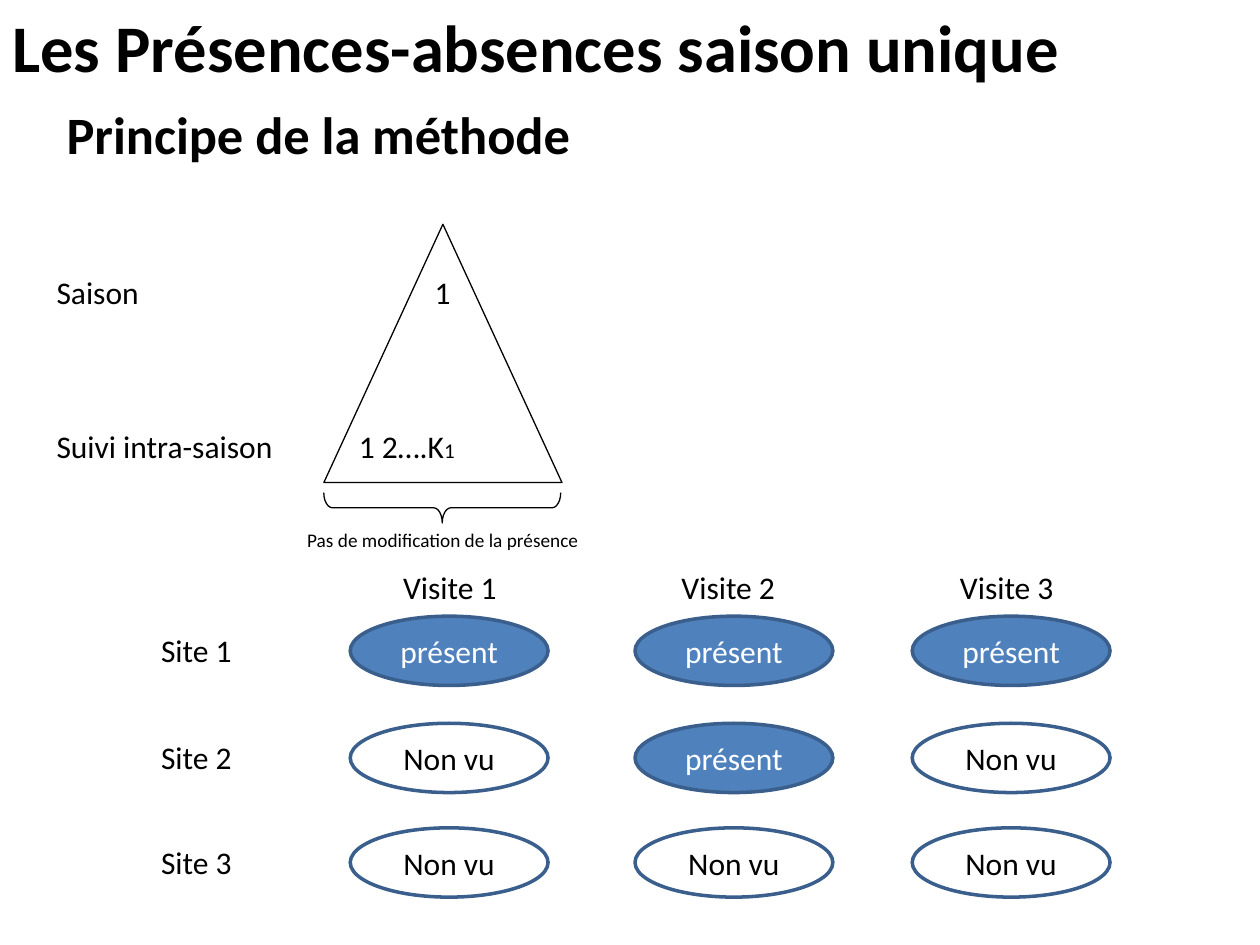
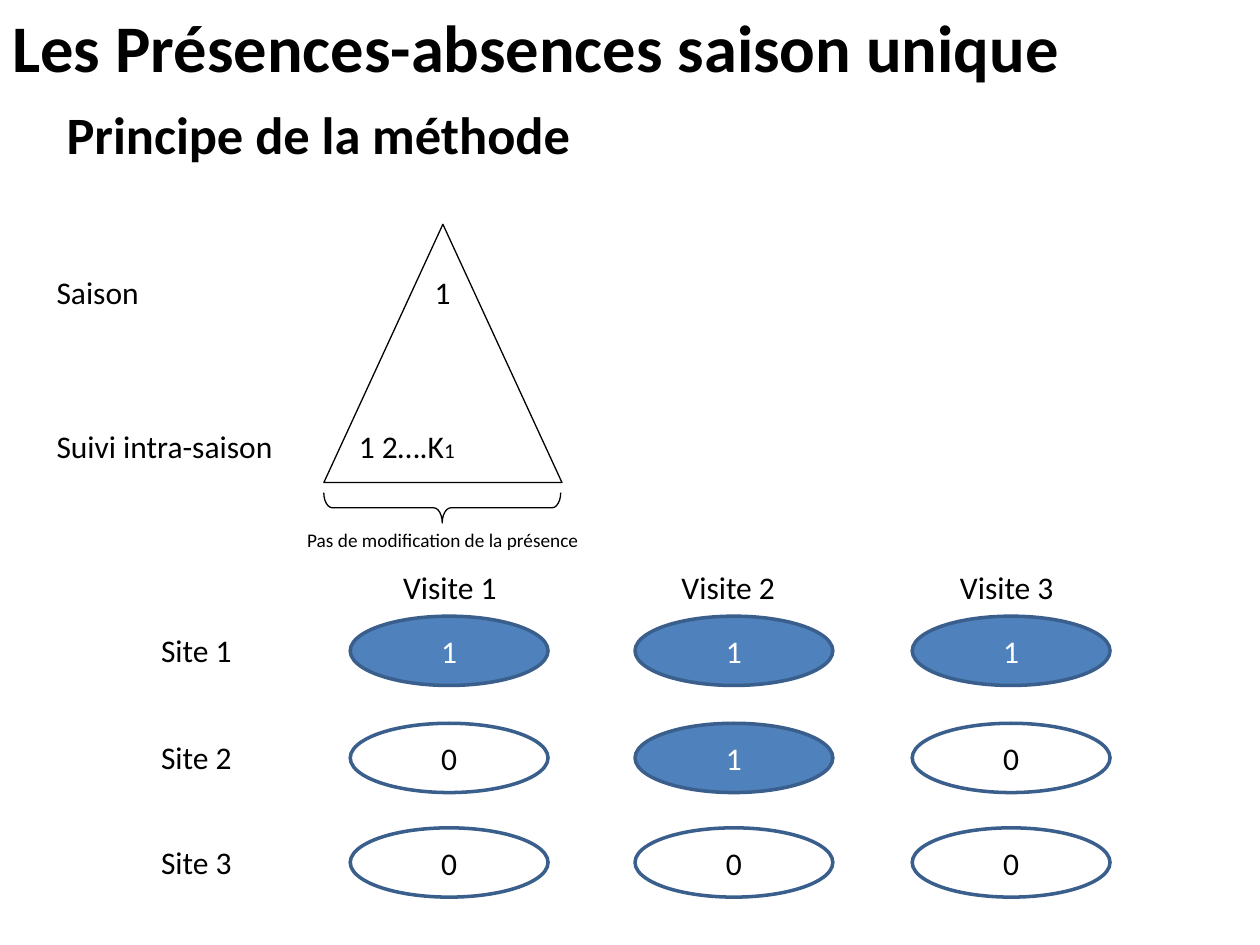
from lxml.etree import SubElement
from pptx import Presentation
from pptx.dml.color import RGBColor
from pptx.enum.shapes import MSO_SHAPE
from pptx.enum.text import MSO_ANCHOR, MSO_AUTO_SIZE, PP_ALIGN
from pptx.oxml.ns import qn
from pptx.util import Inches, Pt

COLORS = {"ink": "000000", "white": "FFFFFF", "present": "4F81BD", "outline": "3A5F8C"}
FONT = "Calibri"
LINE_HEIGHT = 22  # points, one line of 18-point text

# Labels shared by both slides: text, left, top, width, height, size, bold
LABELS = [
    ("Principe de la méthode", 0.43, 0.76, 4.24, 0.61, 30, True),
    ("Les Présences-absences saison unique", 0, 0, 8.59, 0.74, 38, True),
]

# Grid of visits (columns) and sites (rows)
VISIT_LEFTS = [2.78, 5.04, 7.24]
SITE_TOPS = [4.89, 5.74, 6.57]
SEEN = [
    [True, True, True],
    [False, True, False],
    [False, False, False],
]
for number in range(3):
    LABELS.append((f"Visite {number + 1}", 3.1 + 2.21 * number, 4.46, 0.95, 0.4, 18, False))
    LABELS.append((f"Site {number + 1}", 1.18, SITE_TOPS[number] + 0.07, 0.77, 0.4, 18, False))

# Word for an observed and an unobserved species, one pair per slide
OUTCOMES = [("présent", "Non vu"), ("1", "0")]


def add_span(para, text, size=18, color="ink", bold=False):
    span = para.add_run()
    span.text = text
    for name, value in {"name": FONT, "size": Pt(size), "bold": bold}.items():
        setattr(span.font, name, value)
    span.font.color.rgb = RGBColor.from_string(COLORS[color])


def add_figure(page, kind, place, fill=None, line="ink", weight=0.75):
    shape = page.shapes.add_shape(kind, *map(Inches, place))
    shape.shadow.inherit = False
    if fill:
        shape.fill.solid()
        shape.fill.fore_color.rgb = RGBColor.from_string(COLORS[fill])
    else:
        shape.fill.background()
    shape.line.color.rgb = RGBColor.from_string(COLORS[line])
    shape.line.width = Pt(weight)
    return shape


deck = Presentation()
deck.slide_width, deck.slide_height = Inches(10), Inches(7.5)

for seen_word, unseen_word in OUTCOMES:
    page = deck.slides.add_slide(deck.slide_layouts[6])

    # Season and its repeated surveys, aligned with tab stops
    box = page.shapes.add_textbox(Inches(0.35), Inches(2.12), Inches(5.25), Inches(1.62))
    box.text_frame.word_wrap = True
    season = box.text_frame.paragraphs[0]
    survey = box.text_frame.add_paragraph()
    for para, stop in [(season, 3), (survey, 2.4)]:
        tabs = SubElement(para._p.get_or_add_pPr(), qn("a:tabLst"))
        SubElement(tabs, qn("a:tab"), pos=str(Inches(stop)), algn="l")
    survey.space_before = Pt(3 * LINE_HEIGHT)
    add_span(season, "Saison\t1")
    add_span(survey, "Suivi intra-saison\t1 2….K")
    add_span(survey, "1", size=12)

    # Triangle, brace and caption
    brace = add_figure(page, MSO_SHAPE.LEFT_BRACE, (3.39, 3.09, 0.24, 1.88))
    brace.rotation = 270
    brace.adjustments[0] = 0.285
    add_figure(page, MSO_SHAPE.ISOSCELES_TRIANGLE, (2.57, 1.78, 1.89, 2.05))
    caption = page.shapes.add_textbox(Inches(2.32), Inches(4.14), Inches(2.39), Inches(0.29))
    caption.text_frame.word_wrap = True
    para = caption.text_frame.paragraphs[0]
    para.alignment = PP_ALIGN.CENTER
    add_span(para, "Pas de modification de la présence", size=11)

    # Observations by site and visit
    for top, row in zip(SITE_TOPS, SEEN):
        for left, seen in zip(VISIT_LEFTS, row):
            oval = add_figure(page, MSO_SHAPE.OVAL, (left, top, 1.57, 0.55),
                              "present" if seen else None, "outline", 2)
            oval.text_frame.vertical_anchor = MSO_ANCHOR.MIDDLE
            para = oval.text_frame.paragraphs[0]
            para.alignment = PP_ALIGN.CENTER
            add_span(para, seen_word if seen else unseen_word,
                     color="white" if seen else "ink")

    # Titles and grid labels
    for text, left, top, width, height, size, bold in LABELS:
        box = page.shapes.add_textbox(*map(Inches, (left, top, width, height)))
        box.text_frame.word_wrap = False
        box.text_frame.auto_size = MSO_AUTO_SIZE.SHAPE_TO_FIT_TEXT
        add_span(box.text_frame.paragraphs[0], text, size=size, bold=bold)

deck.save("out.pptx")
